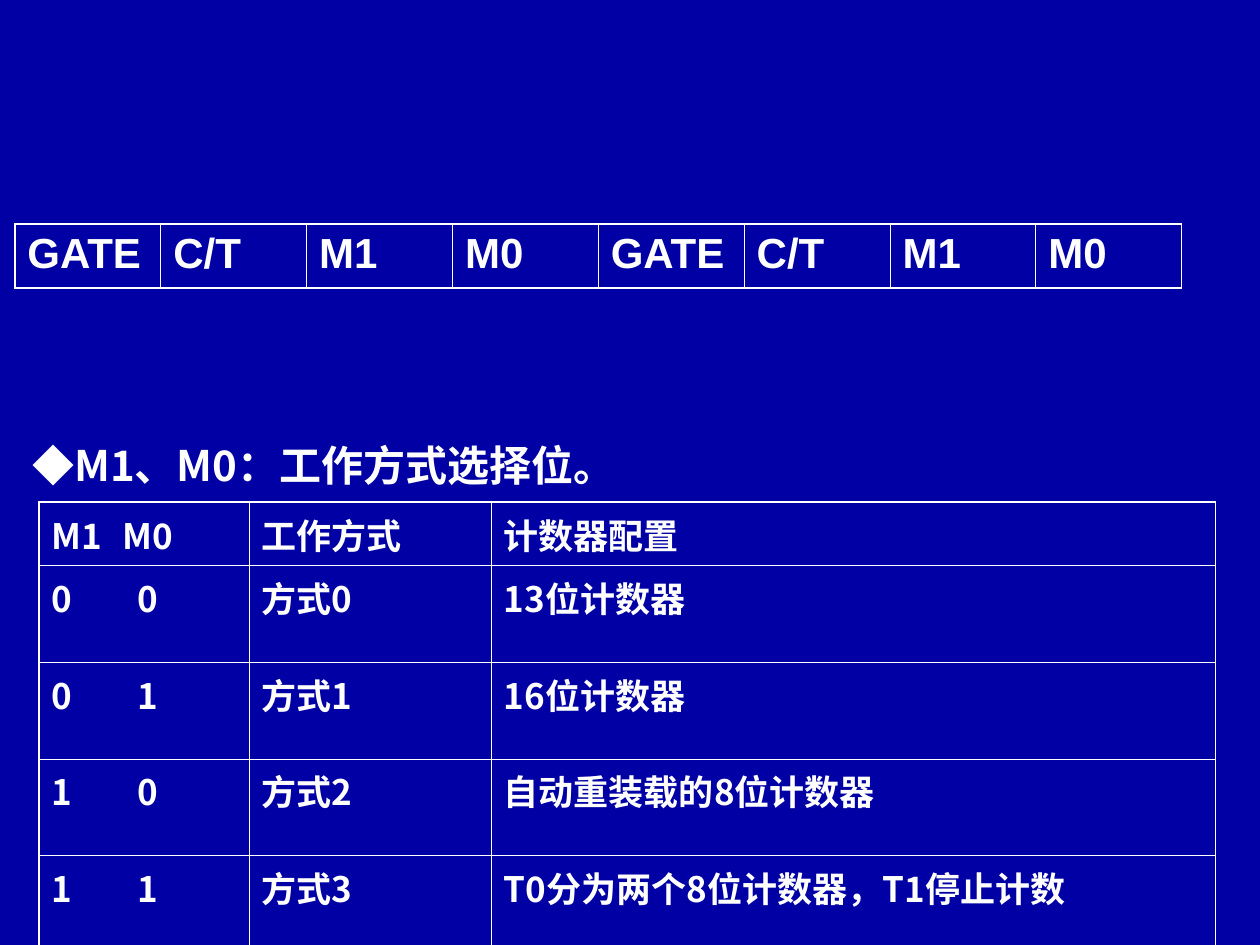
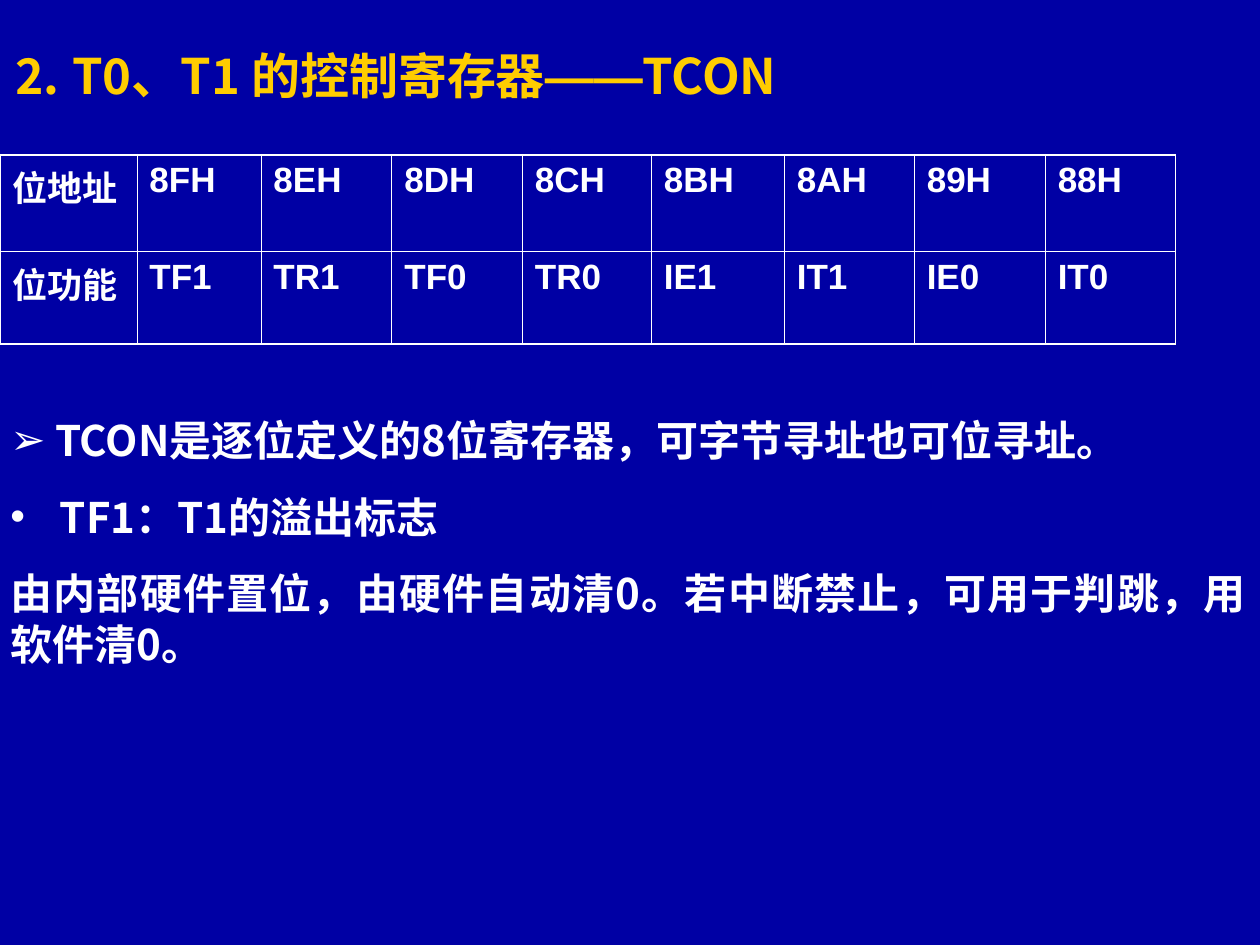
import pptx
import pptx.dml.color
import pptx.enum.text
import pptx.oxml
import pptx.oxml.ns
import pptx.util
from lxml import etree

Cm = pptx.util.Cm
Pt = pptx.util.Pt
qn = pptx.oxml.ns.qn

COLOURS = {"background": "0000A4", "text": "FFFFFF", "title": "FFCC00"}
CJK, LATIN = "Noto Sans CJK SC", "Arial"
OUTER_LINE, INNER_LINE = 1.08, 0.45
BIT_TAB = 1.94


def colour(name):
    return pptx.dml.color.RGBColor.from_string(COLOURS[name])


def add_run(paragraph, text, size, font=CJK, colour_name="text"):
    run = paragraph.add_run()
    run.text = text
    run.font.size = Pt(size)
    run.font.bold = True
    run.font.name = font
    run.font.color.rgb = colour(colour_name)
    etree.SubElement(run.font._element, qn("a:ea"), typeface=font)


def add_slide(deck):
    slide = deck.slides.add_slide(deck.slide_layouts[6])
    slide.background.fill.solid()
    slide.background.fill.fore_color.rgb = colour("background")
    return slide


def add_text_frame(slide, left, top, width, height):
    frame = slide.shapes.add_textbox(Cm(left), Cm(top), Cm(width), Cm(height)).text_frame
    frame.word_wrap = True
    return frame


def style_paragraph(paragraph, space_before):
    paragraph.alignment = pptx.enum.text.PP_ALIGN.JUSTIFY
    paragraph.space_before = Pt(space_before)


def add_bullet(paragraph, mark, indent):
    properties = paragraph._p.get_or_add_pPr()
    properties.set("marL", str(Cm(indent)))
    properties.set("indent", str(-Cm(indent)))
    etree.SubElement(properties, qn("a:buFont"), typeface=LATIN)
    etree.SubElement(properties, qn("a:buChar"), char=mark)


def add_centre_tab(paragraph, position):
    tabs = etree.SubElement(paragraph._p.get_or_add_pPr(), qn("a:tabLst"))
    etree.SubElement(tabs, qn("a:tab"), pos=str(Cm(position)), algn="ctr")


def set_borders(cell, widths):
    """Draw the cell's borders; widths maps L, R, T and B to points."""
    properties = cell._tc.get_or_add_tcPr()
    for side, width in widths.items():
        line = etree.SubElement(properties, qn(f"a:ln{side}"), w=str(Pt(width)))
        fill = etree.SubElement(line, qn("a:solidFill"))
        etree.SubElement(fill, qn("a:srgbClr"), val=COLOURS["text"])


def add_grid(slide, left, top, widths, heights, rows, size, space_before, font_for):
    """Add an unfilled table with a heavier outline; font_for maps a column to its font."""
    last_row, last_column = len(rows) - 1, len(widths) - 1
    table = slide.shapes.add_table(
        len(rows), len(widths), Cm(left), Cm(top), Cm(sum(widths)), Cm(sum(heights))
    ).table
    table.first_row = table.horz_banding = False
    for column, width in zip(table.columns, widths):
        column.width = Cm(width)
    for row, height in zip(table.rows, heights):
        row.height = Cm(height)
    for r, values in enumerate(rows):
        for c, value in enumerate(values):
            cell = table.cell(r, c)
            on_outline = {"L": c == 0, "R": c == last_column, "T": r == 0, "B": r == last_row}
            set_borders(cell, {side: OUTER_LINE if outer else INNER_LINE
                               for side, outer in on_outline.items()})
            cell.fill.background()
            paragraph = cell.text_frame.paragraphs[0]
            paragraph.space_before = Pt(space_before)
            if "\t" in value:
                add_centre_tab(paragraph, BIT_TAB)
            add_run(paragraph, value, size, font_for(c))


def build_mode_slide(deck):
    slide = add_slide(deck)
    modes = [
        ("M1\tM0", "工作方式", "计数器配置"),
        ("0\t0", "方式0", "13位计数器"),
        ("0\t1", "方式1", "16位计数器"),
        ("1\t0", "方式2", "自动重装载的8位计数器"),
        ("1\t1", "方式3", "T0分为两个8位计数器，T1停止计数"),
    ]
    add_grid(slide, 0.79, 10.12, [4.23, 4.88, 14.6], [1.12] + [1.95] * 4,
             modes, 20, 5, lambda column: CJK)

    heading = add_text_frame(slide, 0.4, 8.74, 23.7, 9).paragraphs[0]
    style_paragraph(heading, 15)
    add_run(heading, "◆M1、M0：工作方式选择位。", 24)

    timer_bits = ["GATE", "C/T", "M1", "M0"]
    add_grid(slide, 0.3, 4.52, [2.94] * 8, [1.28], [timer_bits * 2],
             24, 6, lambda column: LATIN)


def build_control_slide(deck):
    slide = add_slide(deck)
    notes = [
        ("➢", 0.9, "TCON是逐位定义的8位寄存器，可字节寻址也可位寻址。"),
        ("•", 1, "TF1：T1的溢出标志"),
        (None, 0, "由内部硬件置位，由硬件自动清0。若中断禁止，可用于判跳，用软件清0。"),
    ]
    frame = add_text_frame(slide, -0.04, 8.23, 25.4, 6.93)
    for number, (mark, indent, text) in enumerate(notes):
        paragraph = frame.add_paragraph() if number else frame.paragraphs[0]
        style_paragraph(paragraph, 15)
        if mark:
            add_bullet(paragraph, mark, indent)
        add_run(paragraph, text, 24)

    title = add_text_frame(slide, 0, 0.79, 23.7, 1.45).paragraphs[0]
    style_paragraph(title, 17.5)
    for text, font in [("⒉ T0、T1 的控制寄存器", CJK), ("——", LATIN), ("TCON", CJK)]:
        add_run(title, text, 28, font, "title")

    bits = [
        ["位地址", "8FH", "8EH", "8DH", "8CH", "8BH", "8AH", "89H", "88H"],
        ["位功能", "TF1", "TR1", "TF0", "TR0", "IE1", "IT1", "IE0", "IT0"],
    ]
    add_grid(slide, 0, 3.12, [2.76, 2.5, 2.64, 2.63, 2.6, 2.68, 2.62, 2.64, 2.63],
             [1.95, 1.86], bits, 20, 5, lambda column: LATIN if column else CJK)


def main():
    deck = pptx.Presentation()
    deck.slide_width, deck.slide_height = Cm(25.4), Cm(19.05)
    build_mode_slide(deck)
    build_control_slide(deck)
    deck.save("out.pptx")


if __name__ == "__main__":
    main()
